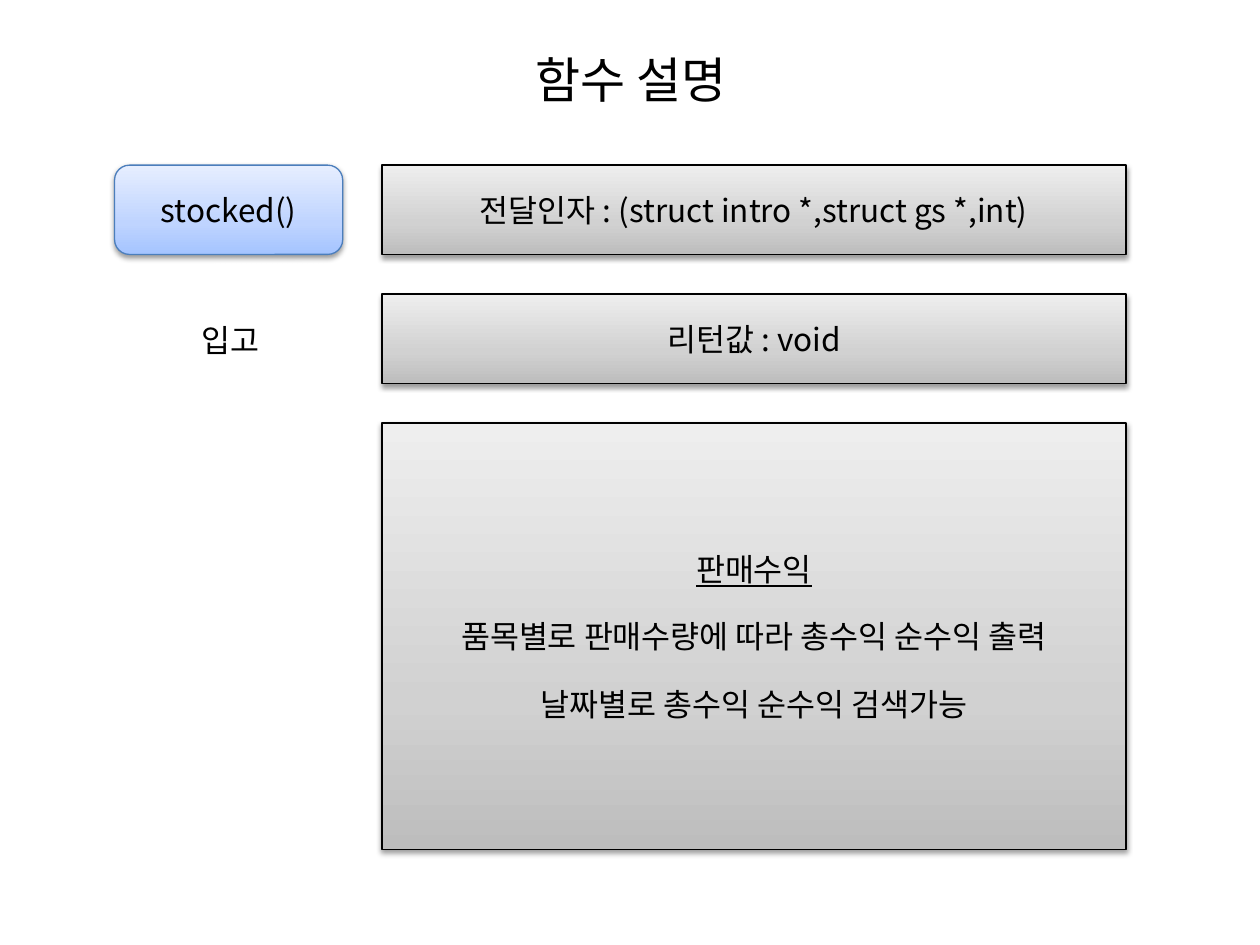
from dataclasses import dataclass

from lxml import etree
from pptx import Presentation
from pptx.dml.color import RGBColor
from pptx.enum.dml import MSO_FILL
from pptx.enum.shapes import MSO_SHAPE
from pptx.enum.text import MSO_ANCHOR, PP_ALIGN
from pptx.oxml import parse_xml
from pptx.oxml.ns import nsdecls, qn
from pptx.shapes.autoshape import Shape
from pptx.slide import Slide
from pptx.util import Cm, Pt

RECT, ROUNDED = MSO_SHAPE.RECTANGLE, MSO_SHAPE.ROUNDED_RECTANGLE
CENTER, MIDDLE = PP_ALIGN.CENTER, MSO_ANCHOR.MIDDLE
GRADIENT = MSO_FILL.GRADIENT

FONT = "Noto Sans CJK KR"
BLACK = "000000"
GRAY_STOPS = ("BDBDBD", "D1D1D1", "EEEEEE")
BLUE_STOPS = ("A4C4FF", "BFD4FF", "E6EEFF")
STOP_POSITIONS = (0, 35, 100)

TOP, ROW_HEIGHT, GAP = 3.33, 1.8, 0.8
ROW_STEP = ROW_HEIGHT + GAP
NAME_LEFT, NAME_WIDTH = 2.31, 4.6
DETAIL_LEFT, DETAIL_WIDTH = 7.7, 15


@dataclass(frozen=True)
class Panel:
    lines: tuple[str, ...]
    row: int
    left: float = DETAIL_LEFT
    width: float = DETAIL_WIDTH
    height: float = ROW_HEIGHT
    shape: MSO_SHAPE = RECT
    stops: tuple[str, ...] = GRAY_STOPS
    outline: str = BLACK
    underline_first: bool = False


PANELS = (
    Panel(("stocked()",), 0, NAME_LEFT, NAME_WIDTH,
          shape=ROUNDED, stops=BLUE_STOPS, outline="4B7EBC"),
    Panel(("전달인자 : (struct intro *,struct gs *,int)",), 0),
    Panel(("리턴값 : void",), 1),
    Panel(("판매수익", "품목별로 판매수량에 따라 총수익 순수익 출력",
           "날짜별로 총수익 순수익 검색가능"), 2, height=8.6, underline_first=True),
)


def color(hex_code: str) -> RGBColor:
    return RGBColor.from_string(hex_code)


def write(shape: Shape, *lines: str, size: float = 18, wrap: bool = True,
          underline_first: bool = False, space_before: float = 17) -> None:
    frame = shape.text_frame
    frame.word_wrap = wrap
    frame.vertical_anchor = MIDDLE
    for index, line in enumerate(lines):
        paragraph = frame.add_paragraph() if index else frame.paragraphs[0]
        paragraph.alignment = CENTER
        if index:
            paragraph.space_before = Pt(space_before)
        run = paragraph.add_run()
        run.text = line
        run.font.name = FONT
        run.font.size = Pt(size)
        run.font.color.rgb = color(BLACK)
        if underline_first and index == 0:
            run.font.underline = True
        east_asian = etree.SubElement(run.font._element, qn("a:ea"))
        east_asian.set("typeface", FONT)


def add_gradient(shape: Shape, stops: tuple[str, ...]) -> None:
    """Fill from bottom to top with the given colours."""
    shape.fill.gradient()
    shape.fill.gradient_angle = 90
    if shape.fill.type != GRADIENT:
        return
    stop_list = shape._element.spPr.find(qn("a:gradFill")).find(qn("a:gsLst"))
    stop_list.clear()
    for position, hex_code in zip(STOP_POSITIONS, stops):
        stop = etree.SubElement(stop_list, qn("a:gs"), pos=str(position * 1000))
        etree.SubElement(stop, qn("a:srgbClr"), val=hex_code)


def add_shadow(shape: Shape) -> None:
    """Cast a soft shadow straight down."""
    shape.shadow.inherit = False
    effects = shape._element.spPr.find(qn("a:effectLst"))
    effects.append(parse_xml(
        f'<a:outerShdw {nsdecls("a")} blurRad="{Pt(3.1)}" dist="{Pt(1.6)}" '
        f'dir="5400000" rotWithShape="0"><a:srgbClr val="{BLACK}">'
        '<a:alpha val="38000"/></a:srgbClr></a:outerShdw>'))


def add_panel(slide: Slide, panel: Panel) -> None:
    shape = slide.shapes.add_shape(
        panel.shape, Cm(panel.left), Cm(TOP + panel.row * ROW_STEP),
        Cm(panel.width), Cm(panel.height))
    add_gradient(shape, panel.stops)
    shape.line.color.rgb = color(panel.outline)
    shape.line.width = Pt(0.75)
    add_shadow(shape)
    write(shape, *panel.lines, underline_first=panel.underline_first)


def main() -> None:
    deck = Presentation()
    deck.slide_width, deck.slide_height = Cm(25.4), Cm(19.05)
    slide = deck.slides.add_slide(deck.slide_layouts[6])

    title = slide.shapes.add_textbox(Cm(1.3), Cm(0), Cm(22.86), Cm(3.18))
    write(title, "함수 설명", size=28)
    for panel in PANELS:
        add_panel(slide, panel)
    meaning = slide.shapes.add_textbox(Cm(3.75), Cm(6.35), Cm(1.8), Cm(1.02))
    write(meaning, "입고", wrap=False)

    deck.save("out.pptx")


if __name__ == "__main__":
    main()
